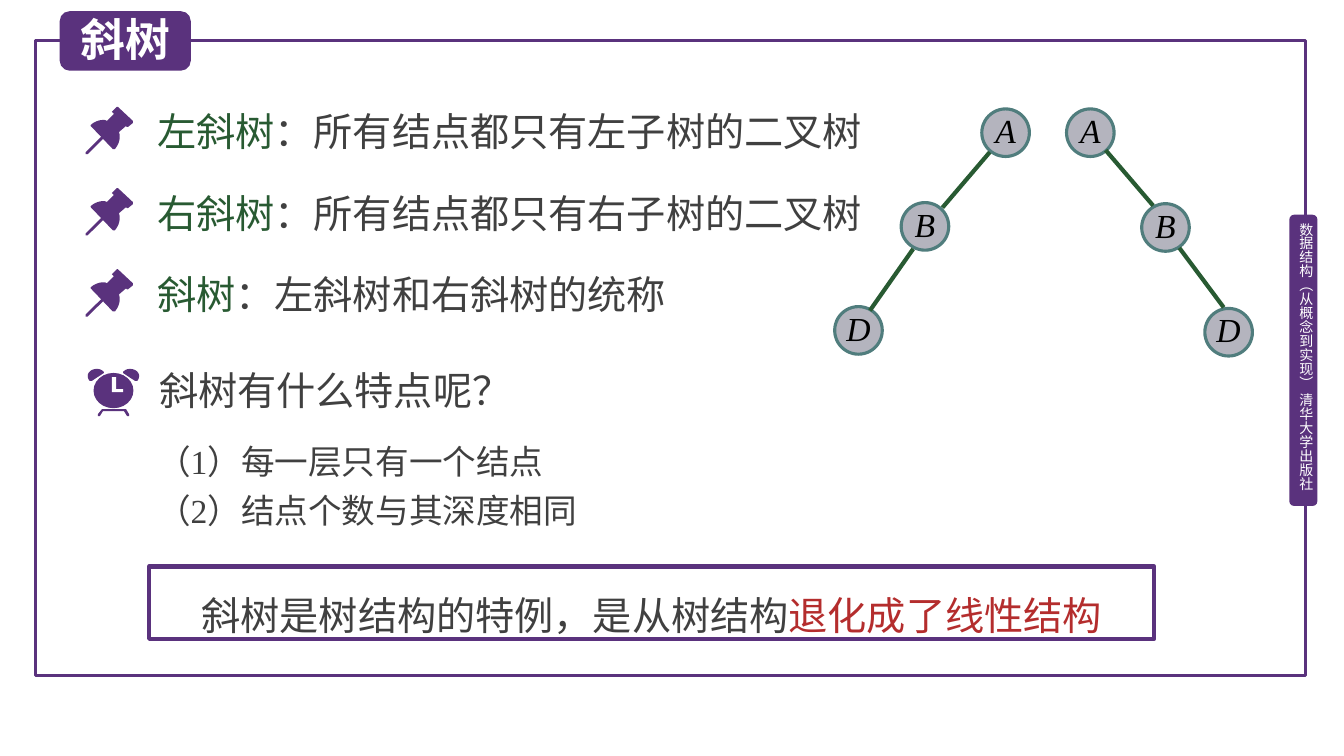
from pptx import Presentation
from pptx.dml.color import RGBColor
from pptx.enum.shapes import MSO_CONNECTOR as CONN, MSO_SHAPE as SHAPE
from pptx.enum.text import MSO_ANCHOR as ANCHOR, PP_ALIGN as ALIGN
from pptx.oxml.ns import qn
from pptx.util import Pt
from lxml.etree import SubElement

COLORS = {
    "purple": "5A327D", "green": "285A32", "text": "404040", "red": "B42D2D",
    "node": "B4B4BE", "ring": "507D7D", "white": "FFFFFF", "black": "000000",
}
SANS, SERIF = "Noto Sans CJK SC", "Times New Roman"
PIN_HEAD = [
    (33.8, 10.1), (23, 0), (22.3, 0), (18.7, 3.6), (20.2, 5), (15.1, 10.1),
    (14.4, 9.4, 13.7, 9.4, 12.2, 9.4), (9.4, 9.4, 5.8, 10.8, 3.6, 13),
    (3.6, 13.7), (19.4, 30.2), (20.9, 30.2), (23.8, 26.6, 25.2, 22.3, 23.8, 18),
    (28.8, 13.7), (29.5, 14.4), (30.2, 14.4), (33.8, 11.5),
]
PIN_NEEDLE = [(0, 33.8), (0, 32.4), (11.5, 20.9), (13, 20.9), (13, 22.3), (1.4, 33.8)]
CLOCK_LEGS = [
    (29.5, 32.4), (27.4, 28.8), (10.1, 28.8), (7.2, 32.4), (7.2, 33.8),
    (8.6, 33.8), (10.8, 30.2), (25.9, 30.2), (28.1, 33.8), (29.5, 33.8),
]
CLOCK_BELL = [
    (6.5, 0), (2.9, 0, 0, 2.2, 0, 5), (0, 6.5, 0.7, 7.9, 1.4, 8.6),
    (2.9, 8.6), (11.5, 2.9), (11.5, 2.2), (10.1, 0.7, 8.6, 0, 6.5, 0),
]
CLOCK_HANDS = [(17.3, 5.8), (20.2, 5.8), (20.2, 14.4), (25.2, 14.4), (25.2, 16.6), (17.3, 16.6)]
CLOCK_WIDTH = 36.7
NODE = 34


def rgb(name):
    return RGBColor.from_string(COLORS[name])


def paint(sp, fill=None, line=None, width=0):
    sp.shadow.inherit = False
    if fill:
        sp.fill.solid()
        sp.fill.fore_color.rgb = rgb(fill)
    else:
        sp.fill.background()
    if line:
        sp.line.color.rgb = rgb(line)
        sp.line.width = Pt(width)
    else:
        sp.line.fill.background()


def add_box(s, kind, box, **style):
    sp = s.shapes.add_shape(kind, *map(Pt, box))
    paint(sp, **style)
    return sp


def add_runs(p, runs, size, bold=False, italic=False):
    for text, color, font in runs:
        r = p.add_run()
        r.text = text
        r.font.size, r.font.bold, r.font.italic = Pt(size), bold, italic
        r.font.name, r.font.color.rgb = font, rgb(color)
        SubElement(r._r.get_or_add_rPr(), qn("a:ea")).set("typeface", SANS)


def set_margins(tf, x, y):
    tf.margin_left = tf.margin_right = Pt(x)
    tf.margin_top = tf.margin_bottom = Pt(y)


def add_text(s, box, lines, size, margins=(7.2, 3.6), spacing=None):
    tf = s.shapes.add_textbox(*map(Pt, box)).text_frame
    tf.word_wrap = True
    set_margins(tf, *margins)
    for i, runs in enumerate(lines):
        p = tf.add_paragraph() if i else tf.paragraphs[0]
        if spacing:
            p.line_spacing = Pt(spacing)
        add_runs(p, runs, size)
    return tf


def bezier(start, curve, steps=8):
    x1, y1, x2, y2, x3, y3 = curve
    for t in (i / steps for i in range(1, steps + 1)):
        a, b, c, d = (1 - t) ** 3, 3 * t * (1 - t) ** 2, 3 * t * t * (1 - t), t ** 3
        yield (a * start[0] + b * x1 + c * x2 + d * x3,
               a * start[1] + b * y1 + c * y2 + d * y3)


def add_outline(s, left, top, outline, fill="purple", mirror=None):
    points = []
    for step in outline:
        points.extend(bezier(points[-1], step) if len(step) == 6 else [step])
    if mirror:
        points = [(mirror - x, y) for x, y in points]
    dots = [((left + x) * 100, (top + y) * 100) for x, y in points]
    builder = s.shapes.build_freeform(*dots[0], scale=Pt(0.01))
    builder.add_line_segments(dots[1:], close=True)
    paint(builder.convert_to_shape(), fill)


def add_pin_row(s, top, term, meaning):
    runs = [(term, "green", SERIF), (meaning, "text", SERIF)]
    add_text(s, (112.3, top, 518, 47.5), [runs], 28, (0, 3.6), 40)
    for outline in (PIN_HEAD, PIN_NEEDLE):
        add_outline(s, 61.2, top + 9.3, outline)


def add_clock(s, left, top):
    add_outline(s, left, top, CLOCK_LEGS)
    add_outline(s, left, top, CLOCK_BELL)
    add_outline(s, left, top, CLOCK_BELL, mirror=CLOCK_WIDTH)
    add_box(s, SHAPE.OVAL, (left + 4.1, top + 2.9, 28.5, 25.2), fill="purple")
    add_outline(s, left, top, CLOCK_HANDS, "white")


def add_tree(s, nodes, edges):
    for label, x, y in nodes:
        sp = add_box(s, SHAPE.OVAL, (x, y, NODE, NODE), fill="node", line="ring", width=2.25)
        tf = sp.text_frame
        set_margins(tf, 0, 0)
        tf.vertical_anchor = ANCHOR.MIDDLE
        p = tf.paragraphs[0]
        p.alignment, p.line_spacing = ALIGN.CENTER, Pt(25)
        add_runs(p, [(label, "black", SERIF)], 24, italic=True)
    for edge in edges:
        cx = s.shapes.add_connector(CONN.STRAIGHT, *map(Pt, edge))
        cx.line.color.rgb, cx.line.width = rgb("green"), Pt(3)
        SubElement(cx._element.spPr, qn("a:effectLst"))


def add_frame(s):
    add_box(s, SHAPE.RECTANGLE, (25.2, 28.8, 907.2, 453.6), line="purple", width=2.25)
    add_box(s, SHAPE.ROUNDED_RECTANGLE, (921, 153.4, 20, 208), fill="purple")
    publisher = "数据结构（从概念到实现） 清华大学出版社"
    tf = add_text(s, (926.6, 159.1, 12.2, 202.3), [[(publisher, "white", SANS)]], 10, (0, 0))
    tf.word_wrap = False
    tf._txBody.bodyPr.set("vert", "eaVert")


def add_title(s, text):
    add_box(s, SHAPE.ROUNDED_RECTANGLE, (42.7, 8, 93.6, 42.5), fill="purple")
    title = s.shapes.title
    title.left, title.top, title.width, title.height = map(Pt, (50.4, 5, 85.7, 46))
    tf = title.text_frame
    tf.vertical_anchor = ANCHOR.TOP
    p = tf.paragraphs[0]
    p.alignment = ALIGN.LEFT
    add_runs(p, [(text, "white", SANS)], 32, bold=True)
    s.shapes._spTree.append(title._element)


def add_conclusion(s):
    sp = add_box(s, SHAPE.RECTANGLE, (106.6, 404.6, 717.8, 51.8), line="purple", width=3)
    tf = sp.text_frame
    tf.word_wrap, tf.vertical_anchor = True, ANCHOR.MIDDLE
    p = tf.paragraphs[0]
    p.alignment, p.line_spacing = ALIGN.CENTER, 1.5
    add_runs(p, [("斜树是树结构的特例，是从树结构", "text", SANS),
                 ("退化成了线性结构", "red", SANS)], 28)


def main():
    """Build the slide on skewed binary trees."""
    prs = Presentation()
    prs.slide_width, prs.slide_height = Pt(960), Pt(540)
    s = prs.slides.add_slide(prs.slide_layouts[5])
    add_frame(s)
    add_title(s, "斜树")
    rows = [("左斜树", "：所有结点都只有左子树的二叉树"),
            ("右斜树", "：所有结点都只有右子树的二叉树"),
            ("斜树", "：左斜树和右斜树的统称")]
    for i, (term, meaning) in enumerate(rows):
        add_pin_row(s, 67 + 58 * i, term, meaning)
    add_tree(s, [("A", 701.3, 77.8), ("B", 643.7, 144.7), ("D", 596.2, 219)],
             [(707, 108.7, 673.2, 148.3), (652.3, 177.8, 621.4, 221.8)])
    add_tree(s, [("A", 761.8, 77.8), ("B", 815.5, 145.5), ("D", 860.6, 220.3)],
             [(823.7, 146.9, 789.8, 107.3), (874.1, 219.6, 842.4, 177.1)])
    add_text(s, (106.6, 257.8, 377.3, 41), [[("斜树有什么特点呢？", "text", SANS)]], 28)
    add_clock(s, 62.7, 263.5)
    traits = ["每一层只有一个结点", "结点个数与其深度相同"]
    lines = [[(f"（{n}）", "text", SERIF), (trait, "text", SANS)]
             for n, trait in enumerate(traits, 1)]
    add_text(s, (105.1, 305.3, 357.1, 77.8), lines, 24, spacing=35)
    add_conclusion(s)
    prs.save("out.pptx")


if __name__ == "__main__":
    main()
